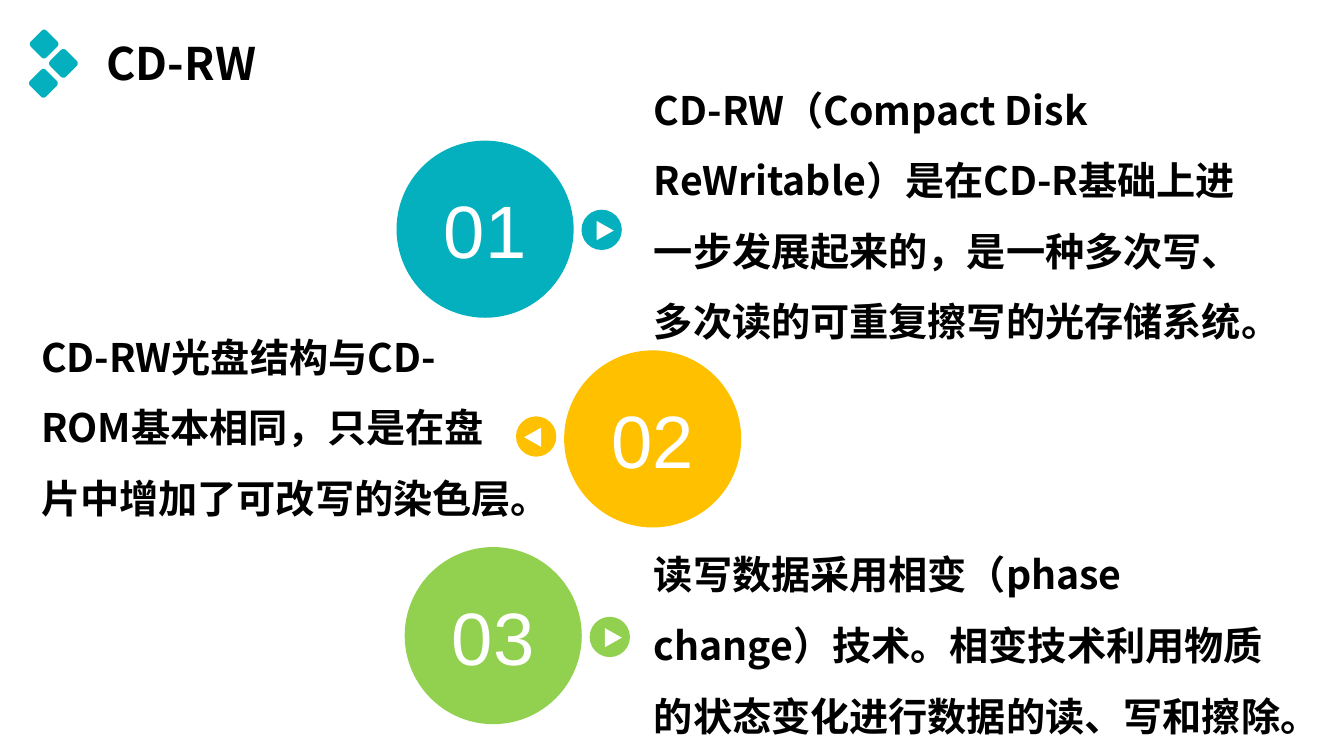
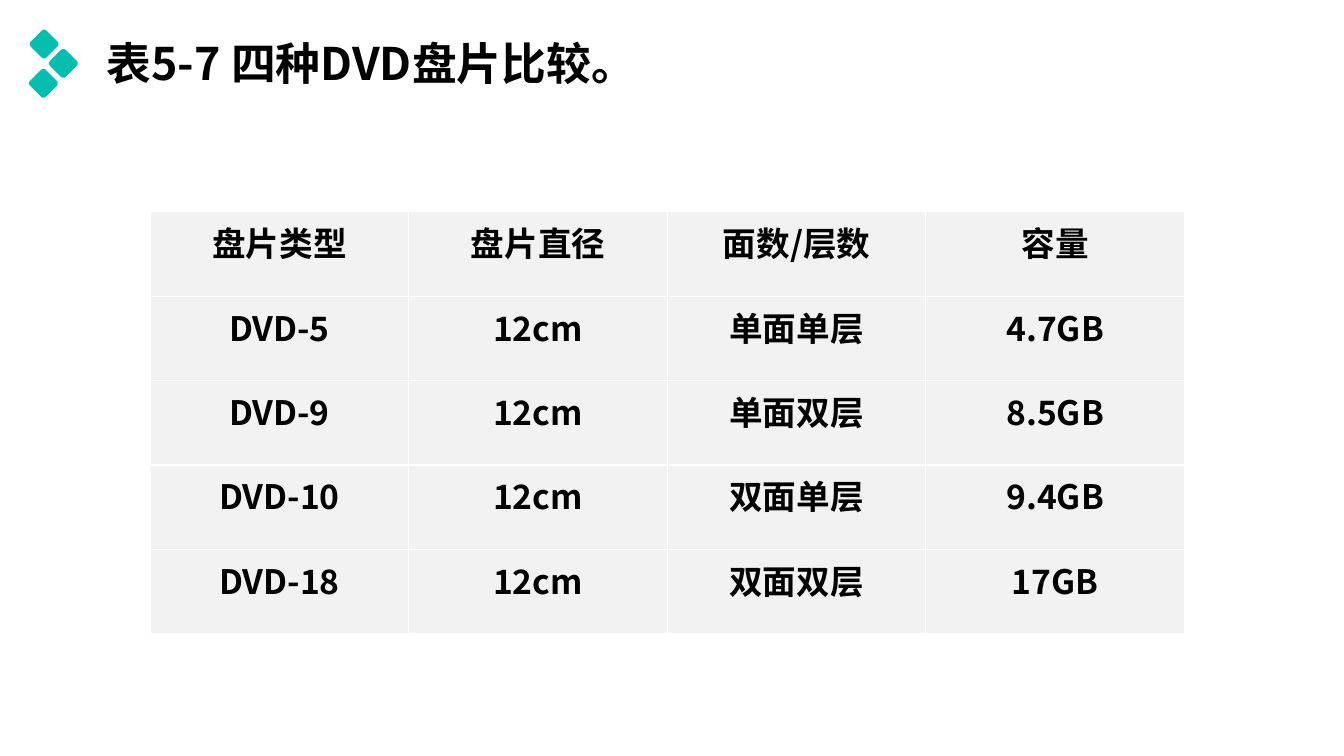
import dataclasses
import typing

import lxml.etree
import pptx
import pptx.dml.color
import pptx.enum.shapes
import pptx.enum.text
import pptx.oxml.ns
import pptx.slide
import pptx.table
import pptx.util

Pt = pptx.util.Pt
Preset = pptx.enum.shapes.MSO_SHAPE
Align = pptx.enum.text.PP_ALIGN
Anchor = pptx.enum.text.MSO_ANCHOR
qn = pptx.oxml.ns.qn


@dataclasses.dataclass(frozen=True)
class Theme:
    teal: str = "04B0BE"
    sea_green: str = "04BEB0"
    amber: str = "FFC000"
    green: str = "92D050"
    ink: str = "000000"
    paper: str = "FFFFFF"
    cell: str = "F2F2F2"
    text_font: str = "Noto Sans CJK SC"
    number_font: str = "Arial"
    title_size: float = 32
    body_size: float = 28
    table_size: float = 24
    number_size: float = 53


THEME = Theme()


class Box(typing.NamedTuple):
    left: float
    top: float
    width: float
    height: float

    def lengths(self) -> list[pptx.util.Length]:
        return [Pt(value) for value in self]


def centred_box(x: float, y: float, width: float, height: float) -> Box:
    return Box(x - width / 2, y - height / 2, width, height)


@dataclasses.dataclass(frozen=True)
class Point:
    number: str
    colour: str
    disc: tuple[float, float]
    button: tuple[float, float]
    direction: int  # 1 points right, -1 points left
    text: str
    text_box: Box


POINTS = (
    Point("01", THEME.teal, (346.5, 163.7), (429.8, 164.2), 1,
          "CD-RW（Compact Disk ReWritable）是在CD-R基础上进一步发展起来的，"
          "是一种多次写、多次读的可重复擦写的光存储系统。",
          Box(460, 41, 451, 211)),
    Point("02", THEME.amber, (466.2, 313.5), (383, 311.8), -1,
          "CD-RW光盘结构与CD-ROM基本相同，只是在盘片中增加了可改写的染色层。",
          Box(22.3, 217.4, 355, 160)),
    Point("03", THEME.green, (352.3, 454), (435.6, 455), 1,
          "读写数据采用相变（phase change）技术。"
          "相变技术利用物质的状态变化进行数据的读、写和擦除。",
          Box(460, 373, 476, 160)),
)

DISCS = (
    ("盘片类型", "盘片直径", "面数/层数", "容量"),
    ("DVD-5", "12cm", "单面单层", "4.7GB"),
    ("DVD-9", "12cm", "单面双层", "8.5GB"),
    ("DVD-10", "12cm", "双面单层", "9.4GB"),
    ("DVD-18", "12cm", "双面双层", "17GB"),
)

TITLE_BOX = Box(69, 22.3, 648, 53)
TABLE_BOX = Box(107.3, 151.2, 738.8, 301.7)
MARK_CENTRES = ((31.5, 31.5), (45.3, 45.3), (31, 59.5))
MARK_SIDE = 16
DISC_SIZE = 123.5
BUTTON_SIZE = 28.8
ARROW_BASE, ARROW_LENGTH, ARROW_SHIFT = 13.7, 12.2, 2.5


def rgb(colour: str) -> pptx.dml.color.RGBColor:
    return pptx.dml.color.RGBColor.from_string(colour)


def write(frame: typing.Any, text: str, *, size: float, colour: str = THEME.ink,
          font: str = THEME.text_font, bold: bool = True,
          align: Align = Align.LEFT, spacing: float = 1.0) -> None:
    paragraph = frame.paragraphs[0]
    paragraph.alignment = align
    paragraph.line_spacing = spacing
    run = paragraph.add_run()
    run.text = text
    run.font.size = Pt(size)
    run.font.bold = bold
    run.font.color.rgb = rgb(colour)
    run.font.name = font
    east_asian = lxml.etree.SubElement(run.font._element, qn("a:ea"))
    east_asian.set("typeface", font)


def add_text(slide: pptx.slide.Slide, box: Box, text: str, *, size: float,
             spacing: float = 1.0) -> None:
    frame = slide.shapes.add_textbox(*box.lengths()).text_frame
    frame.word_wrap = True
    frame.auto_size = pptx.enum.text.MSO_AUTO_SIZE.SHAPE_TO_FIT_TEXT
    write(frame, text, size=size, spacing=spacing)


def add_solid(shapes: typing.Any, preset: Preset, box: Box, colour: str,
              outline: float = 0) -> typing.Any:
    solid = shapes.add_shape(preset, *box.lengths())
    solid.shadow.inherit = False
    solid.fill.solid()
    solid.fill.fore_color.rgb = rgb(colour)
    if outline:
        solid.line.color.rgb = rgb(colour)
        solid.line.width = Pt(outline)
    else:
        solid.line.fill.background()
    return solid


def add_heading(slide: pptx.slide.Slide, title: str, colour: str) -> None:
    """Draw the title with its three tilted squares."""
    add_text(slide, TITLE_BOX, title, size=THEME.title_size)
    marks = slide.shapes.add_group_shape()
    for x, y in MARK_CENTRES:
        mark = add_solid(marks.shapes, Preset.ROUNDED_RECTANGLE,
                         centred_box(x, y, MARK_SIDE, MARK_SIDE), colour)
        mark.adjustments[0] = 0.15
        mark.rotation = 45


def add_point(slide: pptx.slide.Slide, point: Point) -> None:
    disc = add_solid(slide.shapes, Preset.OVAL,
                     centred_box(*point.disc, DISC_SIZE, DISC_SIZE),
                     point.colour, outline=3)
    disc.text_frame.vertical_anchor = Anchor.MIDDLE
    write(disc.text_frame, point.number, size=THEME.number_size, bold=False,
          colour=THEME.paper, font=THEME.number_font, align=Align.CENTER)

    x, y = point.button
    add_solid(slide.shapes, Preset.OVAL,
              centred_box(x, y, BUTTON_SIZE, BUTTON_SIZE), point.colour)
    arrow = add_solid(slide.shapes, Preset.ISOSCELES_TRIANGLE,
                      centred_box(x + point.direction * ARROW_SHIFT, y + 0.5,
                                  ARROW_BASE, ARROW_LENGTH), THEME.paper)
    arrow.rotation = 90 * point.direction

    add_text(slide, point.text_box, point.text, size=THEME.body_size, spacing=1.5)


def add_borders(cell: pptx.table._Cell) -> None:
    properties = cell._tc.get_or_add_tcPr()
    for side in ("lnL", "lnR", "lnT", "lnB"):
        border = lxml.etree.SubElement(properties, qn(f"a:{side}"), w=str(Pt(1)))
        fill = lxml.etree.SubElement(border, qn("a:solidFill"))
        lxml.etree.SubElement(fill, qn("a:srgbClr"), val=THEME.paper)


def add_comparison(slide: pptx.slide.Slide) -> None:
    row_count, column_count = len(DISCS), len(DISCS[0])
    comparison = slide.shapes.add_table(row_count, column_count,
                                        *TABLE_BOX.lengths()).table
    comparison.horz_banding = False
    for column in comparison.columns:
        column.width = Pt(TABLE_BOX.width / column_count)
    for row, values in zip(comparison.rows, DISCS):
        row.height = Pt(TABLE_BOX.height / row_count)
        for cell, value in zip(row.cells, values):
            add_borders(cell)
            cell.fill.solid()
            cell.fill.fore_color.rgb = rgb(THEME.cell)
            cell.margin_left = cell.margin_right = Pt(8.6)
            cell.margin_top, cell.margin_bottom = Pt(4.3), Pt(0)
            write(cell.text_frame, value, size=THEME.table_size, align=Align.CENTER)


def main() -> None:
    deck = pptx.Presentation()
    deck.slide_width, deck.slide_height = Pt(960), Pt(540)
    blank = deck.slide_layouts[6]

    rewritable = deck.slides.add_slide(blank)
    add_heading(rewritable, "CD-RW", THEME.teal)
    for point in POINTS:
        add_point(rewritable, point)

    dvd = deck.slides.add_slide(blank)
    add_heading(dvd, "表5-7 四种DVD盘片比较。", THEME.sea_green)
    add_comparison(dvd)

    deck.save("out.pptx")


if __name__ == "__main__":
    main()
